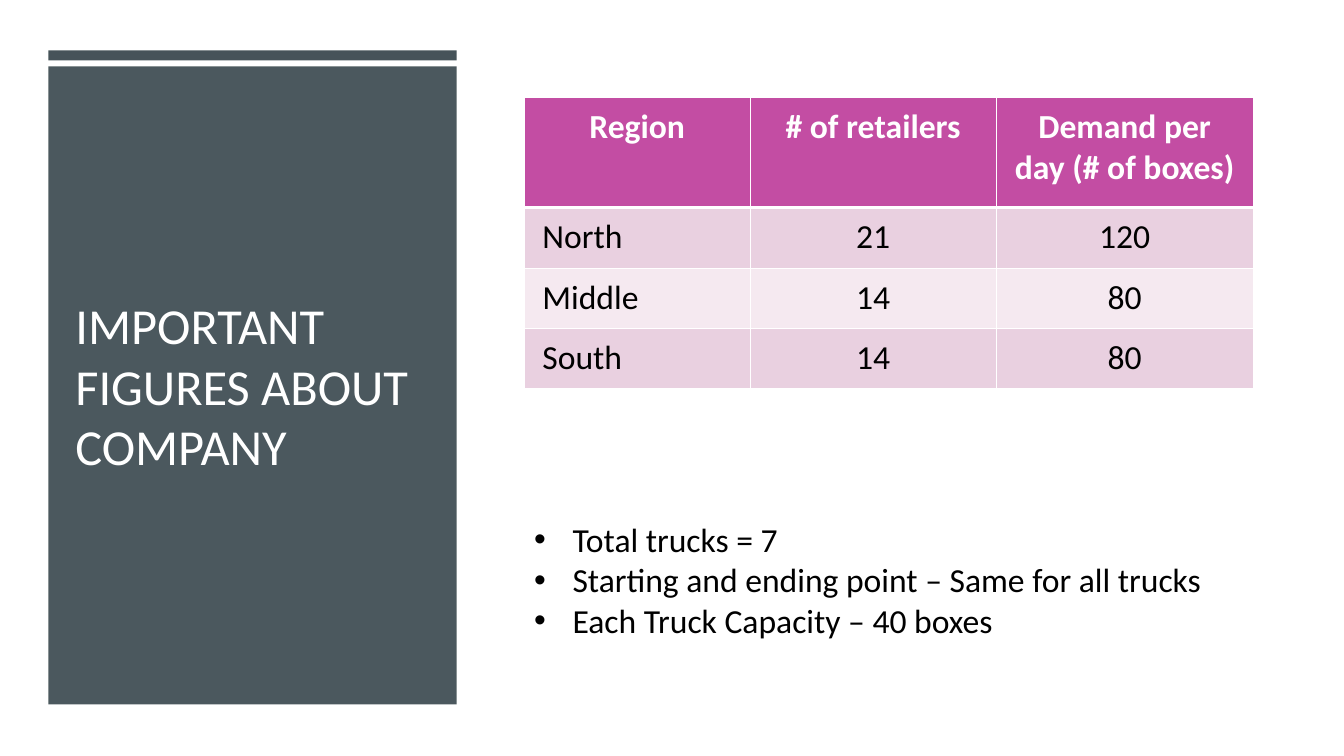
from lxml.etree import SubElement
from pptx import Presentation
from pptx.dml.color import RGBColor
from pptx.enum.shapes import MSO_SHAPE as Shape
from pptx.enum.text import MSO_ANCHOR as Anchor, PP_ALIGN as Align
from pptx.oxml.ns import qn
from pptx.util import Inches, Pt

WHITE = RGBColor(0xFF, 0xFF, 0xFF)
BLACK = RGBColor(0, 0, 0)
SLATE = RGBColor(0x46, 0x53, 0x59)
MAGENTA = RGBColor(0xC3, 0x4D, 0xA3)
PINK = RGBColor(0xE9, 0xD0, 0xE0)
PALE_PINK = RGBColor(0xF5, 0xE9, 0xF0)

FONT = "Calibri"
DEMAND = [
    ("Region", "# of retailers", "Demand per day (# of boxes)"),
    ("North", "21", "120"),
    ("Middle", "14", "80"),
    ("South", "14", "80"),
]
COLUMN_WIDTHS = (2.24, 2.44, 2.55)
ROW_HEIGHTS = (1.09, 0.6, 0.6, 0.6)
TRUCK_FACTS = [
    "Total trucks = 7",
    "Starting and ending point – Same for all trucks",
    "Each Truck Capacity – 40 boxes",
]


def style(paragraph, size, color, bold=False):
    font = paragraph.font
    font.name, font.size, font.bold = FONT, Pt(size), bold
    font.color.rgb = color


def add_panel(slide, left, top, width, height, opacity=100):
    panel = slide.shapes.add_shape(
        Shape.RECTANGLE, Inches(left), Inches(top), Inches(width), Inches(height))
    panel.shadow.inherit = False
    panel.fill.solid()
    panel.fill.fore_color.rgb = SLATE
    panel.line.fill.background()
    if opacity < 100:
        color = panel.fill._xPr.find(qn("a:solidFill"))[0]
        SubElement(color, qn("a:alpha"), val=str(opacity * 1000))


def add_text(slide, left, top, width, height, lines, size, color,
             anchor=Anchor.TOP, bullet_indent=0):
    box = slide.shapes.add_textbox(
        Inches(left), Inches(top), Inches(width), Inches(height))
    frame = box.text_frame
    frame.word_wrap = True
    frame.vertical_anchor = anchor
    frame.text = "\n".join(lines)
    for paragraph in frame.paragraphs:
        if bullet_indent:
            add_bullet(paragraph, Inches(bullet_indent))
        style(paragraph, size, color)


def add_bullet(paragraph, indent):
    properties = paragraph._p.get_or_add_pPr()
    properties.set("marL", str(indent))
    properties.set("indent", str(-indent))
    SubElement(properties, qn("a:buFont"), typeface="Arial")
    SubElement(properties, qn("a:buChar"), char="•")


def add_borders(cell, widths):
    properties = cell._tc.get_or_add_tcPr()
    for side, width in widths.items():
        border = SubElement(properties, qn(f"a:ln{side}"), w=str(Pt(width)))
        fill = SubElement(border, qn("a:solidFill"))
        SubElement(fill, qn("a:srgbClr"), val=str(WHITE))


def fill_cell(cell, text, row, column):
    header = row == 0
    add_borders(cell, {"L": 1, "R": 1, "T": 3 if row == 1 else 1, "B": 3 if header else 1})
    cell.fill.solid()
    cell.fill.fore_color.rgb = MAGENTA if header else PINK if row % 2 else PALE_PINK
    cell.margin_left = cell.margin_right = Inches(0.18)
    cell.margin_top = cell.margin_bottom = Inches(0.09)
    cell.text = text
    paragraph = cell.text_frame.paragraphs[0]
    paragraph.alignment = Align.CENTER if header or column else Align.LEFT
    style(paragraph, 24, WHITE if header else BLACK, bold=header)


def add_demand_table(slide, left, top):
    table = slide.shapes.add_table(
        len(DEMAND), len(COLUMN_WIDTHS), Inches(left), Inches(top),
        Inches(sum(COLUMN_WIDTHS)), Inches(sum(ROW_HEIGHTS))).table
    for column, width in zip(table.columns, COLUMN_WIDTHS):
        column.width = Inches(width)
    for row, height in zip(table.rows, ROW_HEIGHTS):
        row.height = Inches(height)
    for r, values in enumerate(DEMAND):
        for c, text in enumerate(values):
            fill_cell(table.cell(r, c), text, r, c)


def main():
    deck = Presentation()
    deck.slide_width, deck.slide_height = Inches(13.33), Inches(7.5)
    slide = deck.slides.add_slide(deck.slide_layouts[6])
    slide.background.fill.solid()
    slide.background.fill.fore_color.rgb = WHITE
    add_panel(slide, 0.48, 0.66, 4.05, 6.33, opacity=97)
    add_panel(slide, 0.48, 0.5, 4.05, 0.1)
    add_text(slide, 0.65, 0.97, 3.73, 3.8, ["IMPORTANT FIGURES ABOUT COMPANY"],
             36, WHITE, anchor=Anchor.BOTTOM)
    add_demand_table(slide, 5.2, 0.97)
    add_text(slide, 5.2, 5.1, 7.08, 1.72, TRUCK_FACTS, 24, BLACK, bullet_indent=0.38)
    deck.save("out.pptx")


if __name__ == "__main__":
    main()
